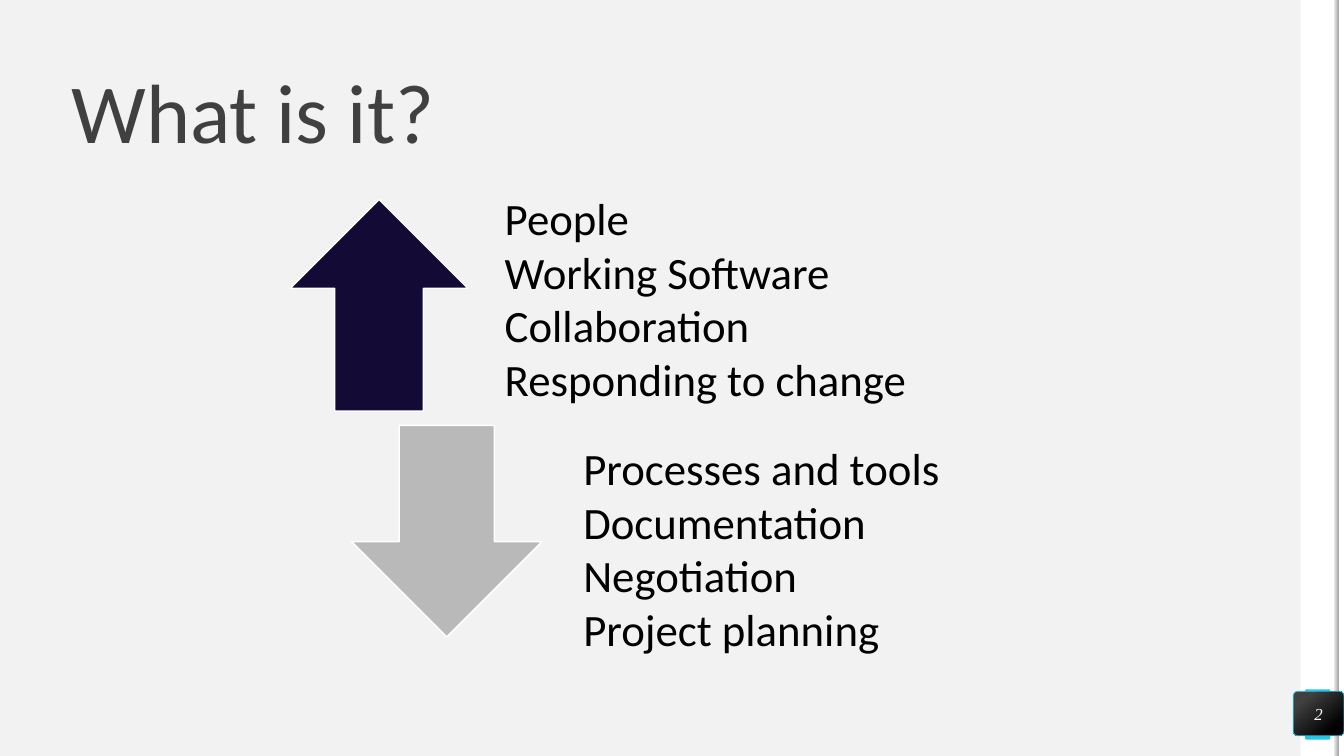
import dataclasses
import typing

import pptx
import pptx.dml.color
import pptx.enum.shapes
import pptx.enum.text
import pptx.util

Cm = pptx.util.Cm
Pt = pptx.util.Pt
Kind = pptx.enum.shapes.MSO_SHAPE
Align = pptx.enum.text.PP_ALIGN
Anchor = pptx.enum.text.MSO_ANCHOR
Box = tuple[float, float, float, float]


@dataclasses.dataclass
class Block:
    kind: typing.Any
    box: Box
    fill: str = ""
    stops: tuple = ()
    angle: float = 0
    line: str = ""
    width: float = 1
    round: float | None = None


@dataclasses.dataclass
class Group:
    arrow: Block
    left: float
    top: float
    items: list[str]


HIGH, TALL = 19.05, 5.33
FRAME = [
    Block(Kind.RECTANGLE, (32.77, 0, 0.99, HIGH), "FFFFFF"),
    Block(Kind.ROUNDED_RECTANGLE, (32.89, 17.37, 0.64, 1.27), "25C6E3", round=0.07),
    Block(Kind.RECTANGLE, (33.74, 0, 0.13, HIGH), "FFFFFF"),
    Block(Kind.RECTANGLE, (33.61, 0, 0.13, HIGH),
          stops=((0, "F2F2F2"), (1, "A6A6A6"))),
]
BADGE = Block(Kind.ROUNDED_RECTANGLE, (32.59, 17.42, 1.28, 1.12),
              stops=((0.2, "404040"), (0.82, "000000")), angle=310,
              line="25C6E3", width=0.5, round=0.1)
GROUPS = [
    Group(Block(Kind.UP_ARROW, (7.32, 5.03, 4.47, TALL), "130B36", line="FFFFFF"),
          12.47, 4.67,
          ["People", "Working Software", "Collaboration", "Responding to change"]),
    Group(Block(Kind.DOWN_ARROW, (8.86, 10.72, 4.8, TALL), "B9B9B9", line="FFFFFF"),
          14.45, 10.97,
          ["Processes and tools", "Documentation", "Negotiation", "Project planning"]),
]


def paint(color: typing.Any, code: str) -> None:
    color.rgb = pptx.dml.color.RGBColor.from_string(code)


def place(shape: typing.Any, box: Box) -> None:
    shape.left, shape.top, shape.width, shape.height = map(Cm, box)


def draw(slide: typing.Any, block: Block) -> typing.Any:
    shape = slide.shapes.add_shape(block.kind, *map(Cm, block.box))
    shape.shadow.inherit = False
    if block.round is not None:
        shape.adjustments[0] = block.round
    if block.stops:
        shape.fill.gradient()
        shape.fill.gradient_angle = block.angle
        for stop, (pos, code) in zip(shape.fill.gradient_stops, block.stops):
            stop.position = pos
            paint(stop.color, code)
    else:
        shape.fill.solid()
        paint(shape.fill.fore_color, block.fill)
    if block.line:
        paint(shape.line.color, block.line)
        shape.line.width = Pt(block.width)
    else:
        shape.line.fill.background()
    return shape


def write(shape: typing.Any, lines: list[str], *, size: float, color: str,
          font: str = "Calibri", italic: bool = False, align: typing.Any = Align.LEFT,
          anchor: typing.Any = Anchor.MIDDLE, space: float = 1,
          inset: tuple[float, float] = (0, 0)) -> None:
    frame = shape.text_frame
    frame.word_wrap = True
    frame.auto_size = pptx.enum.text.MSO_AUTO_SIZE.NONE
    frame.vertical_anchor = anchor
    frame.margin_left = frame.margin_right = Cm(inset[0])
    frame.margin_top = frame.margin_bottom = Cm(inset[1])
    frame.text = "\n".join(lines)
    for para in frame.paragraphs:
        para.alignment = align
        para.line_spacing = space
        para.space_before = para.space_after = Pt(0)
        face = para.runs[0].font
        face.name, face.size, face.italic = font, Pt(size), italic
        paint(face.color, color)


def plain(shape: typing.Any) -> None:
    for para in shape.text_frame.paragraphs:
        props = para._p.get_or_add_pPr()
        props.set("marL", "0")
        props.set("indent", "0")
        props.append(pptx.oxml.parse_xml(
            '<a:buNone xmlns:a="http://schemas.openxmlformats.org/drawingml/2006/main"/>'))


def main() -> None:
    deck = pptx.Presentation()
    deck.slide_width, deck.slide_height = Cm(33.87), Cm(HIGH)
    slide = deck.slides.add_slide(deck.slide_layouts[3])
    slide.background.fill.solid()
    paint(slide.background.fill.fore_color, "F2F2F2")
    for block in FRAME:
        draw(slide, block)

    title = slide.shapes.title
    place(title, (1.8, 1.9, 10.87, 2.06))
    write(title, ["What is it?"], size=60, color="404040", space=0.9)

    write(draw(slide, BADGE), ["2"], size=12, color="FFFFFF",
          font="Times New Roman", italic=True, align=Align.CENTER)

    for slot, group in enumerate(GROUPS, 1):
        draw(slide, group.arrow)
        body = slide.placeholders[slot]
        place(body, (group.left, group.top, 11.07, 5.74))
        write(body, group.items, size=32, color="000000",
              anchor=Anchor.TOP, inset=(0.25, 0.13))
        plain(body)

    deck.save("out.pptx")


if __name__ == "__main__":
    main()
